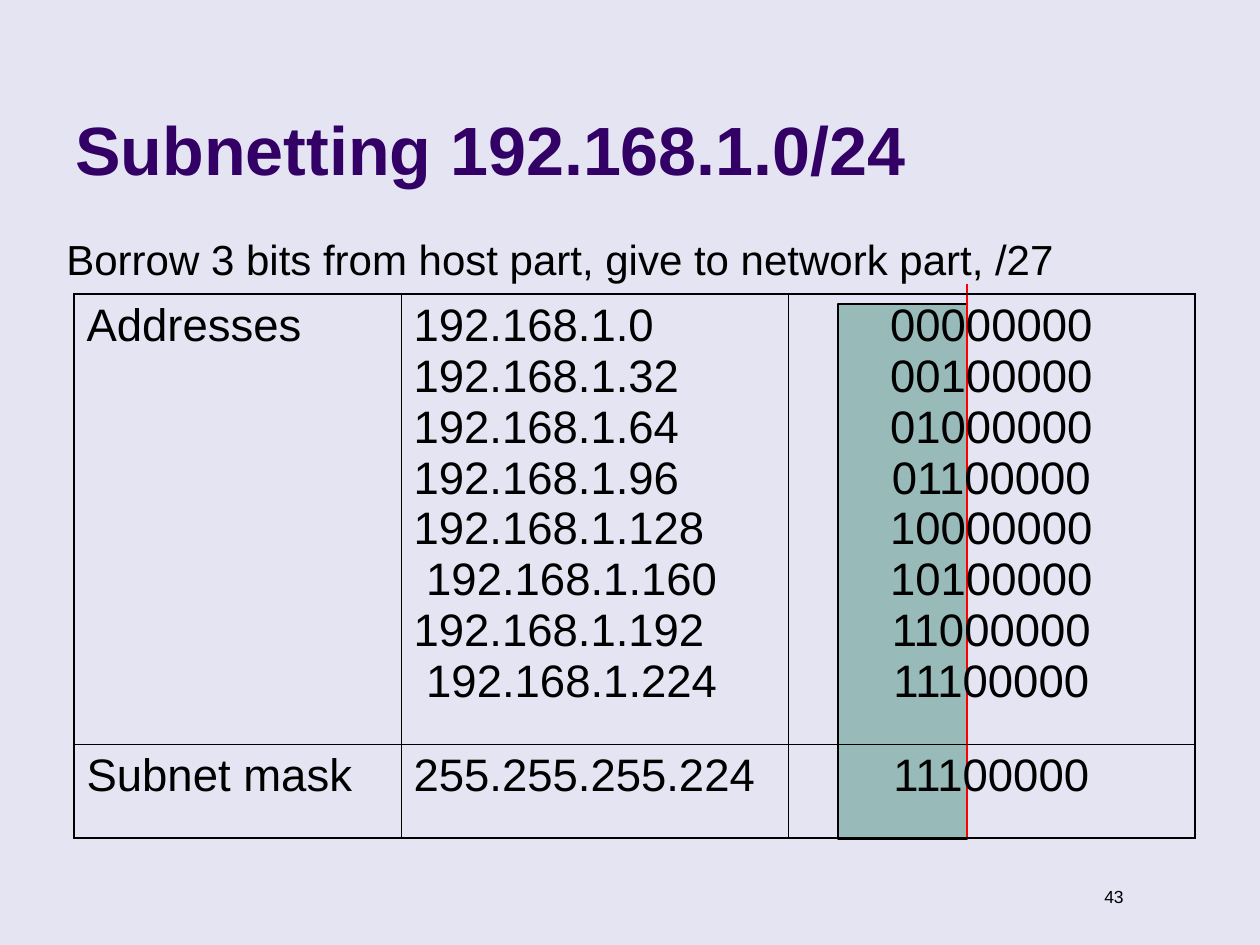
from typing import NamedTuple

from lxml.etree import SubElement
from pptx import Presentation
from pptx.dml.color import RGBColor
from pptx.enum.shapes import MSO_CONNECTOR, MSO_SHAPE
from pptx.enum.text import MSO_ANCHOR, PP_ALIGN
from pptx.oxml.ns import qn
from pptx.util import Emu, Pt

FONT = "Arial"
BLACK = "000000"
THIN, THICK = 0.45, 1.08
COLUMN_WIDTHS = (327, 387, 407)
ROW_HEIGHTS = (450, 94)
SUBNETS = range(0, 256, 32)
INDENTED_SUBNETS = (160, 224)


class Box(NamedTuple):
    left: int
    top: int
    width: int
    height: int


class Label(NamedTuple):
    box: Box
    text: str
    size: int
    color: str = BLACK
    bold: bool = False
    align: PP_ALIGN = PP_ALIGN.LEFT
    anchor: MSO_ANCHOR = MSO_ANCHOR.TOP


LABELS = (
    Label(Box(1057, 880, 79, 34), "43", 10, align=PP_ALIGN.RIGHT),
    Label(Box(63, 16, 1040, 179), "Subnetting 192.168.1.0/24", 39,
          color="330066", bold=True, anchor=MSO_ANCHOR.BOTTOM),
    Label(Box(54, 227, 1111, 63),
          "Borrow 3 bits from host part, give to network part, /27", 24),
)


def px(value: int) -> Emu:
    """Turn pixels into EMU."""
    return Emu(round(value * 914400 / 126))


def rgb(color: str) -> RGBColor:
    """Turn a hex string into a colour."""
    return RGBColor.from_string(color)


def write_text(frame, text: str, *, size: int, color: str = BLACK, bold: bool = False,
               align: PP_ALIGN = PP_ALIGN.LEFT) -> None:
    """Write text into the first paragraph, with a line break at each newline."""
    paragraph = frame.paragraphs[0]
    paragraph.alignment = align
    for index, line in enumerate(text.split("\n")):
        if index:
            paragraph.add_line_break()
        run = paragraph.add_run()
        run.text = line
        run.font.name = FONT
        run.font.size = Pt(size)
        run.font.bold = bold
        run.font.color.rgb = rgb(color)


def add_label(slide, label: Label) -> None:
    """Add a wrapped text box."""
    frame = slide.shapes.add_textbox(*map(px, label.box)).text_frame
    frame.word_wrap = True
    frame.vertical_anchor = label.anchor
    write_text(frame, label.text, size=label.size, color=label.color,
               bold=label.bold, align=label.align)


def add_network_band(slide, box: Box) -> None:
    """Add the shaded band behind the network bits."""
    shape = slide.shapes.add_shape(MSO_SHAPE.RECTANGLE, *map(px, box))
    shape.shadow.inherit = False
    shape.fill.solid()
    shape.fill.fore_color.rgb = rgb("98BBBA")
    shape.line.color.rgb = rgb(BLACK)
    shape.line.width = Pt(0.75)


def add_divider(slide, x: int, top: int, bottom: int) -> None:
    """Add the vertical line between network and host bits."""
    line = slide.shapes.add_connector(
        MSO_CONNECTOR.STRAIGHT, px(x), px(top), px(x), px(bottom))
    line.line.color.rgb = rgb("FF0000")
    line.line.width = Pt(1)
    SubElement(line._element.spPr, qn("a:effectLst"))


def set_borders(cell, widths: dict[str, float]) -> None:
    """Draw the cell borders, given as widths in points by side."""
    properties = cell._tc.get_or_add_tcPr()
    for index, (side, width) in enumerate(widths.items()):
        border = properties.makeelement(qn(f"a:ln{side}"), {"w": str(Pt(width))})
        properties.insert(index, border)
        fill = SubElement(border, qn("a:solidFill"))
        SubElement(fill, qn("a:srgbClr"), val=BLACK)


def add_address_table(slide, left: int, top: int, rows: tuple) -> None:
    """Add the unfilled table with a thick outer frame."""
    table = slide.shapes.add_table(
        len(rows), len(COLUMN_WIDTHS), px(left), px(top),
        px(sum(COLUMN_WIDTHS)), px(sum(ROW_HEIGHTS))).table
    table.first_row = table.horz_banding = False
    for column, width in zip(table.columns, COLUMN_WIDTHS):
        column.width = px(width)
    last_row, last_column = len(rows) - 1, len(COLUMN_WIDTHS) - 1
    for row_index, texts in enumerate(rows):
        table.rows[row_index].height = px(ROW_HEIGHTS[row_index])
        for column_index, text in enumerate(texts):
            cell = table.cell(row_index, column_index)
            cell.fill.background()
            is_bits = column_index == last_column
            write_text(cell.text_frame, text, size=26,
                       align=PP_ALIGN.CENTER if is_bits else PP_ALIGN.LEFT)
            set_borders(cell, {
                "L": THICK if column_index == 0 else THIN,
                "R": THICK if is_bits else THIN,
                "T": THICK if row_index == 0 else THIN,
                "B": THICK if row_index == last_row else THIN,
            })


def main() -> None:
    """Build the subnetting slide."""
    presentation = Presentation()
    presentation.slide_width, presentation.slide_height = px(1260), px(945)
    slide = presentation.slides.add_slide(presentation.slide_layouts[6])
    slide.background.fill.solid()
    slide.background.fill.fore_color.rgb = rgb("E4E4F2")

    add_network_band(slide, Box(838, 304, 129, 535))
    add_divider(slide, 967, 284, 839)
    for label in LABELS:
        add_label(slide, label)

    addresses = "\n".join(
        f"{' ' if host in INDENTED_SUBNETS else ''}192.168.1.{host}" for host in SUBNETS)
    bits = "\n".join(f"{host:08b}" for host in SUBNETS)
    add_address_table(slide, 74, 294, (
        ("Addresses", addresses, bits),
        ("Subnet mask", "255.255.255.224", f"{224:08b}"),
    ))
    presentation.save("out.pptx")


if __name__ == "__main__":
    main()
